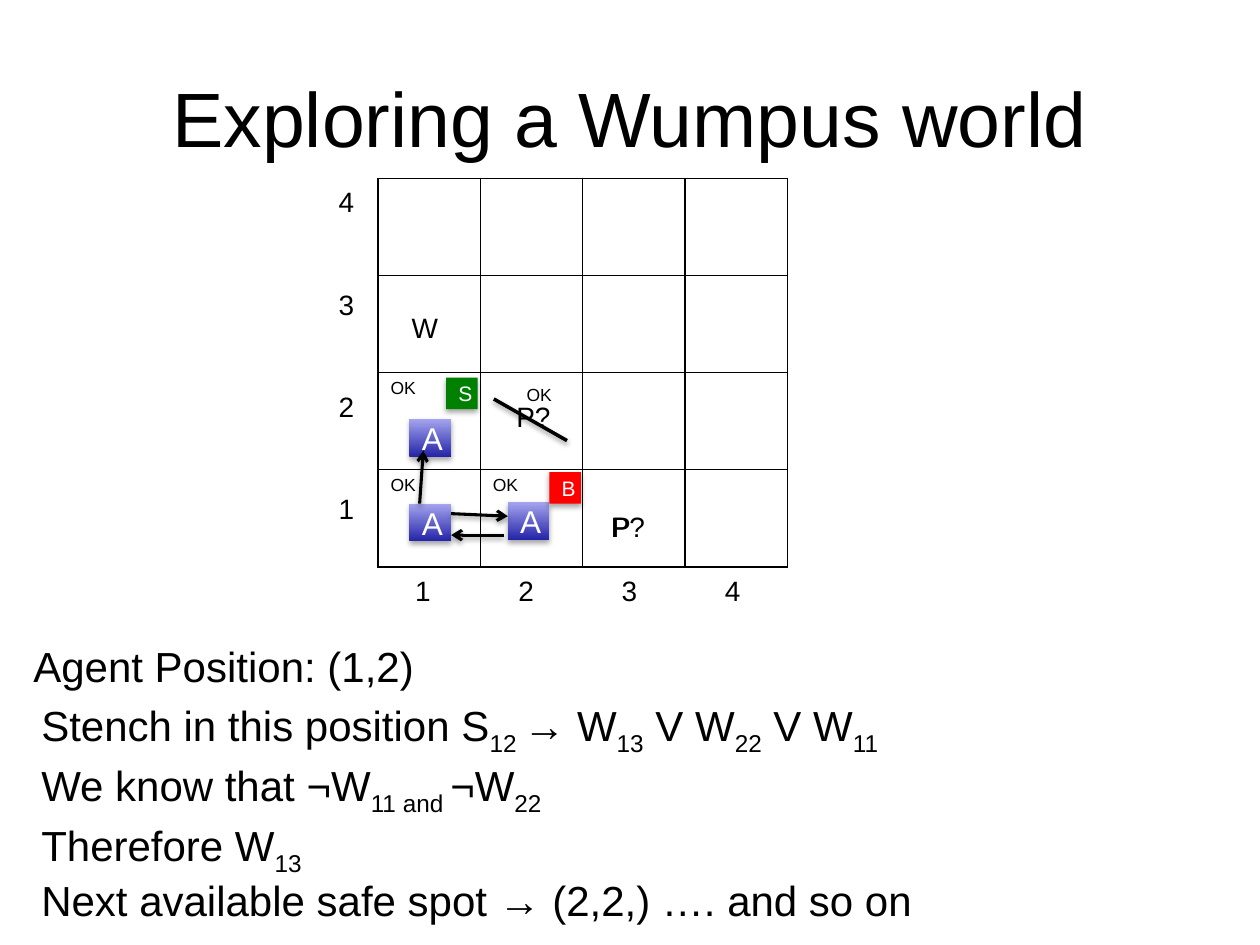
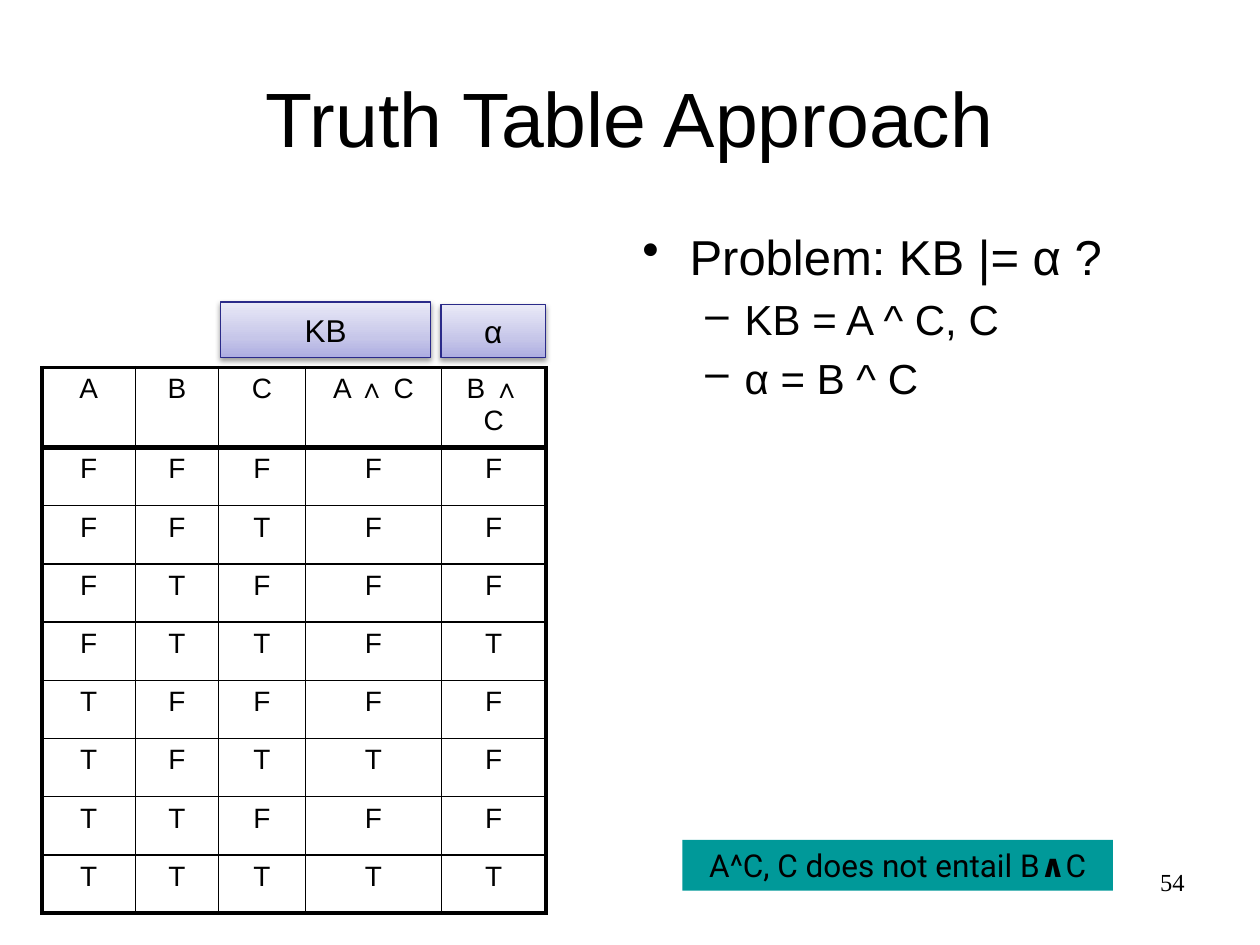
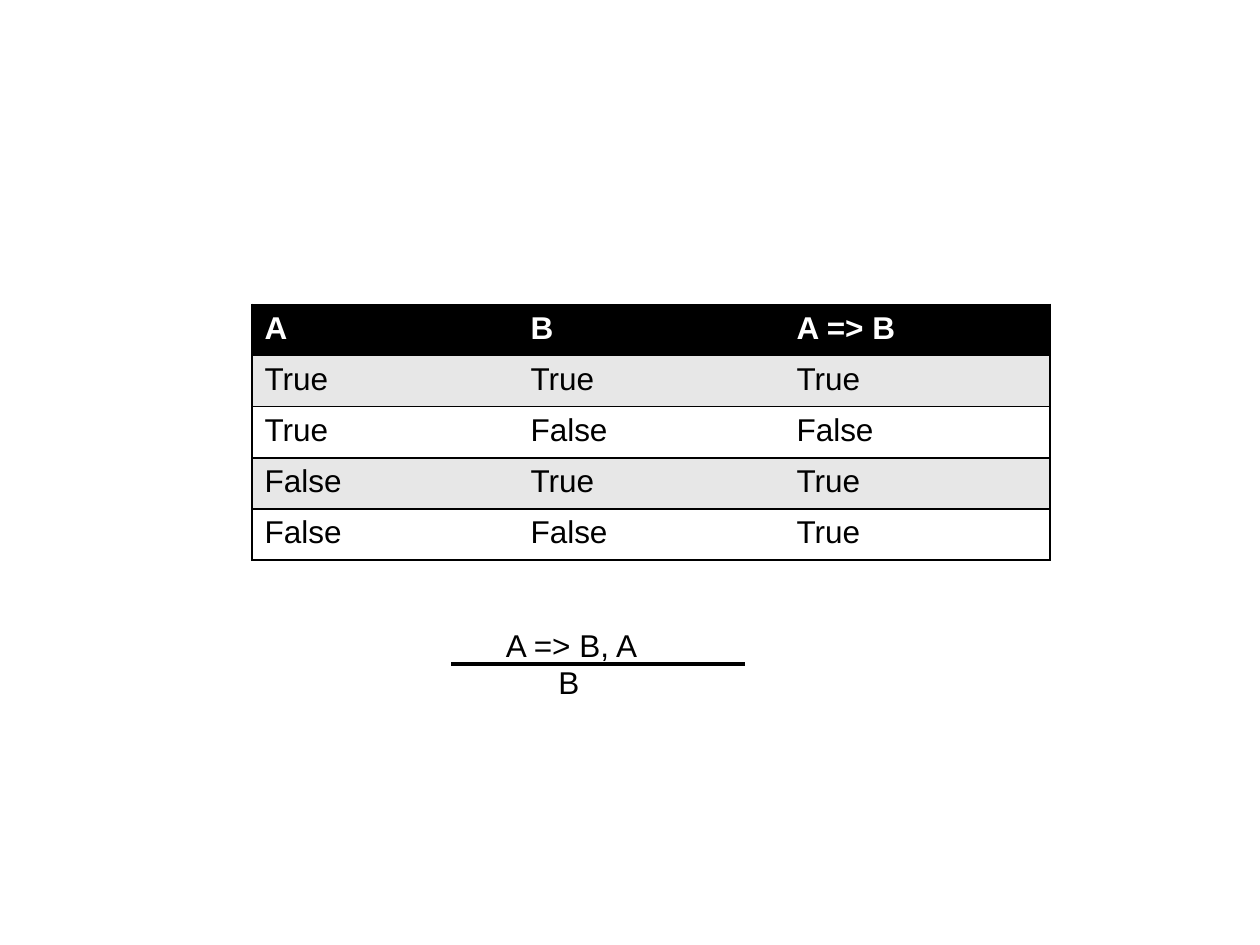
from itertools import product

from lxml.etree import SubElement
from pptx import Presentation
from pptx.dml.color import RGBColor
from pptx.enum.shapes import MSO_CONNECTOR as Connector, MSO_SHAPE as Shape
from pptx.enum.text import MSO_ANCHOR as Anchor, PP_ALIGN as Align
from pptx.oxml.ns import qn
from pptx.util import Pt

COLORS = {
    "ink": "000000",
    "paper": "FFFFFF",
    "band": "E7E7E7",
    "breeze": "FF0000",
    "stench": "008000",
    "verdict": "009999",
    "heading_line": "2A2A89",
}
AGENT_GRADIENT = [(0, "2424A8"), (100, "A4A4EF")]
HEADING_GRADIENT = [(0, "ADADE1"), (35, "C6C6E9"), (100, "E9E9F7")]
FONT = "Arial"
TITLE_BOX = (36, 21.6, 648, 90)


def rgb(name):
    return RGBColor.from_string(COLORS[name])


def points(*lengths):
    return [Pt(length) for length in lengths]


def write_paragraph(paragraph, text, size, color="ink", align=Align.LEFT,
                    font=FONT, bold=False, mark="bold"):
    """Write text; pieces between tildes are set bold or as subscripts."""
    paragraph.alignment = align
    paragraph.font.name = font
    paragraph.font.size = Pt(size)
    paragraph.font.bold = bold
    paragraph.font.color.rgb = rgb(color)
    for index, piece in enumerate(text.split("~")):
        if not piece:
            continue
        run = paragraph.add_run()
        run.text = piece
        if index % 2 and mark == "bold":
            run.font.bold = True
        elif index % 2:
            run.font._element.set("baseline", "-25000")


def indent(paragraph, left, first=0, bullet=None):
    properties = paragraph._p.get_or_add_pPr()
    properties.set("marL", str(Pt(left)))
    properties.set("indent", str(Pt(first)))
    if bullet:
        character = properties.makeelement(qn("a:buChar"), {"char": bullet})
        properties.insert_element_before(character, "a:tabLst", "a:defRPr", "a:extLst")


def add_text(slide, box, lines, size, anchor=Anchor.TOP, **style):
    """Add a wrapped text box with one paragraph a line; return its paragraphs."""
    frame = slide.shapes.add_textbox(*points(*box)).text_frame
    frame.word_wrap = True
    frame.vertical_anchor = anchor
    for index, line in enumerate(lines):
        paragraph = frame.add_paragraph() if index else frame.paragraphs[0]
        write_paragraph(paragraph, line, size, **style)
    return frame.paragraphs


def add_title(slide, text):
    add_text(slide, TITLE_BOX, [text], 44, Anchor.MIDDLE, align=Align.CENTER)


def set_shadow(shape, alpha=0, distance=1.6):
    """Give the shape a soft shadow straight below, or none when alpha is 0."""
    effects = SubElement(shape._element.spPr, qn("a:effectLst"))
    if alpha:
        shadow = SubElement(effects, qn("a:outerShdw"), blurRad=str(Pt(3.1)),
                            dist=str(Pt(distance)), dir="5400000", rotWithShape="0")
        color = SubElement(shadow, qn("a:srgbClr"), val=COLORS["ink"])
        SubElement(color, qn("a:alpha"), val=str(alpha * 1000))


def set_gradient(shape, stops):
    shape.fill.gradient()
    shape.fill.gradient_angle = 90
    stop_list = shape._element.spPr.find(".//" + qn("a:gsLst"))
    for stop in list(stop_list):
        stop_list.remove(stop)
    for position, color in stops:
        stop = SubElement(stop_list, qn("a:gs"), pos=str(position * 1000))
        SubElement(stop, qn("a:srgbClr"), val=color)


def add_block(slide, box, text, size, fill, color="ink", line=None,
              shadow=(0, 0), anchor=Anchor.MIDDLE, font=FONT):
    """Add a labelled rectangle; fill is a colour name or a list of stops."""
    block = slide.shapes.add_shape(Shape.RECTANGLE, *points(*box))
    if isinstance(fill, list):
        set_gradient(block, fill)
    else:
        block.fill.solid()
        block.fill.fore_color.rgb = rgb(fill)
    if line:
        block.line.color.rgb = rgb(line)
        block.line.width = Pt(0.75)
    else:
        block.line.fill.background()
    set_shadow(block, *shadow)
    block.text_frame.vertical_anchor = anchor
    write_paragraph(block.text_frame.paragraphs[0], text, size, color,
                    Align.CENTER, font)


def add_line(slide, start, end, width, arrow=False, shadow=0):
    connector = slide.shapes.add_connector(Connector.STRAIGHT, *points(*start, *end))
    connector.line.color.rgb = rgb("ink")
    connector.line.width = Pt(width)
    if arrow:
        SubElement(connector.line._get_or_add_ln(), qn("a:tailEnd"), type="arrow")
    set_shadow(connector, shadow)


def set_borders(cell, widths):
    """Draw left, right, top and bottom borders; a width of 0 draws none."""
    properties = cell._tc.get_or_add_tcPr()
    for side, width in zip("LRTB", widths):
        border = SubElement(properties, qn(f"a:ln{side}"), w=str(Pt(width)))
        if width:
            fill = SubElement(border, qn("a:solidFill"))
            SubElement(fill, qn("a:srgbClr"), val=COLORS["ink"])
        else:
            SubElement(border, qn("a:noFill"))


def add_grid(slide, position, widths, heights, rows, size, outer=1, vertical=1,
             header=1, align=Align.LEFT, banded=False):
    """Add a ruled table; a banded one has a black header and grey odd rows."""
    box = (*position, sum(widths), sum(heights))
    table = slide.shapes.add_table(len(heights), len(widths), *points(*box)).table
    table.first_row = table.horz_banding = False
    for column, width in zip(table.columns, widths):
        column.width = Pt(width)
    for row, height in zip(table.rows, heights):
        row.height = Pt(height)
    across = [outer] + [vertical] * (len(widths) - 1) + [outer]
    down = [outer, header] + [1] * (len(heights) - 2) + [outer]
    for r, c in product(range(len(heights)), range(len(widths))):
        cell = table.cell(r, c)
        set_borders(cell, across[c:c + 2] + down[r:r + 2])
        is_header = banded and r == 0
        if banded:
            cell.fill.solid()
            cell.fill.fore_color.rgb = rgb(
                "ink" if is_header else "band" if r % 2 else "paper")
        else:
            cell.fill.background()
        write_paragraph(cell.text_frame.paragraphs[0], rows[r][c], size,
                        "paper" if is_header else "ink", align, bold=is_header)


def add_axes(slide, left, top, height):
    """Number the columns below the world and the rows to its left."""
    columns, = add_text(slide, (left, top + height, 240, 28.8), ["\t1\t2\t3\t4"], 16)
    properties = columns._p.get_or_add_pPr()
    tabs = properties.makeelement(qn("a:tabLst"), {})
    properties.insert_element_before(tabs, "a:defRPr", "a:extLst")
    for index in range(4):
        SubElement(tabs, qn("a:tab"), pos=str(Pt(18.5 + 59 * index)), algn="ctr")
    rows = add_text(slide, (left - 36, top, 36, 201), "4321", 16, align=Align.CENTER)
    for paragraph in rows[1:]:
        paragraph.space_before = Pt(39.3)


def add_world(slide, box):
    left, top, width, height = box

    def at(x, y):
        return left + x, top + y

    known_safe = {(2, 0), (3, 0), (3, 1)}
    rows = [["OK" if (r, c) in known_safe else "" for c in range(4)] for r in range(4)]
    add_grid(slide, (left, top), [width / 4] * 4, [height / 4] * 4, rows, 10)
    add_axes(slide, left, top, height)

    for text, x, y, size in [("P?", 72, 123, 16), ("P?", 126, 185.8, 16),
                             ("P", 126.7, 185.8, 16), ("W", 12.2, 72, 16),
                             ("OK", 77.8, 113.8, 10)]:
        add_text(slide, (*at(x, y), 36, 26.6), [text], size)
    for x, y in [(74.2, 185), (18, 185.8), (18, 137.5)]:
        add_block(slide, (*at(x, y), 23.8, 21.6), "A", 18, AGENT_GRADIENT, "paper",
                  shadow=(35, 1.8))
    for text, x, y, fill in [("B", 97.9, 167.8, "breeze"), ("S", 38.9, 113.8, "stench")]:
        add_block(slide, (*at(x, y), 18, 18), text, 12, fill, "paper", shadow=(35, 1.8))
    for start, end in [((41.8, 191.5), (74.2, 193)), ((72, 203.8), (41.8, 203.8)),
                       ((23.8, 185.8), (25.9, 155.5))]:
        add_line(slide, at(*start), at(*end), 1.75, arrow=True, shadow=38)
    add_line(slide, at(66.2, 126), at(108, 149.8), 2, shadow=38)


def add_reasoning(slide, box):
    lines = [
        "Agent Position: (1,2)",
        "Stench in this position S~12 ~→ W~13~ V W~22~ V W~11",
        "We know that ¬W~11 and ~¬W~22",
        "Therefore W~13",
        "Next available safe spot → (2,2,) …. and so on",
    ]
    paragraphs = add_text(slide, box, lines, 24, mark="subscript")
    for index, paragraph in enumerate(paragraphs):
        paragraph.line_spacing = 0.9
        paragraph.space_before = Pt(4.8)
        indent(paragraph, 4.5 if index else 0)


def add_truth_table(slide, left, top):
    rows = [["A", "B", "C", "A ~∧~ C", "B ~∧~ C"]]
    for a, b, c in product([False, True], repeat=3):
        rows.append(["T" if value else "F" for value in (a, b, c, a and c, b and c)])
    add_grid(slide, (left, top), [53.3, 47.5, 49.7, 77.8, 59.8], [36] + [33.3] * 8,
             rows, 16, outer=2.25, header=3, align=Align.CENTER)
    for text, x, y, width, height in [("KB", 102, -37.4, 120.2, 31.7),
                                      ("α", 228, -36, 59.8, 30.2)]:
        add_block(slide, (left + x, top + y, width, height), text, 18,
                  HEADING_GRADIENT, line="heading_line", shadow=(38, 1.6))


def add_problem(slide, box):
    lines = ["Problem: KB |= α ?", "KB = A ^ C, C", "α = B ^ C"]
    question, *definitions = add_text(slide, box, lines, 24)
    question.font.size = Pt(28)
    indent(question, 27, -27, "•")
    for paragraph in definitions:
        paragraph.level = 1
        paragraph.space_before = Pt(4.8)
        indent(paragraph, 58.5, -22.5, "–")


def add_inference_rule(slide, box):
    left, top, _, height = box
    premises, conclusion = add_text(slide, box, ["A => B, A", "B"], 18)
    indent(premises, 36)
    indent(conclusion, 66)
    middle = top + height / 2
    add_line(slide, (left + 12, middle), (left + 180, middle), 2)


def build_wumpus_slide(slide):
    add_title(slide, "Exploring a Wumpus world")
    add_world(slide, (216, 102, 234, 222))
    add_reasoning(slide, (12, 366, 696, 150))


def build_truth_table_slide(slide):
    add_title(slide, "Truth Table Approach")
    add_problem(slide, (360, 126, 324, 356.4))
    add_text(slide, (516, 492, 168, 37.4), ["54"], 14, align=Align.RIGHT,
             font="Times New Roman")
    add_truth_table(slide, 24, 210)
    add_block(slide, (390, 480, 246, 29), "A^C, C does not entail B~∧~C", 18,
              "verdict", anchor=Anchor.TOP, font="Roboto")


def build_implication_slide(slide):
    rows = [["A", "B", "A => B"]]
    for a, b in product([True, False], repeat=2):
        rows.append([str(value) for value in (a, b, not a or b)])
    add_grid(slide, (144, 174), [152] * 3, [29.2] * 5, rows, 18, vertical=0, banded=True)
    add_inference_rule(slide, (246, 354, 360, 51))


def main():
    presentation = Presentation()
    presentation.slide_width, presentation.slide_height = points(720, 540)
    blank = presentation.slide_layouts[6]
    for build in (build_wumpus_slide, build_truth_table_slide, build_implication_slide):
        build(presentation.slides.add_slide(blank))
    presentation.save("out.pptx")


if __name__ == "__main__":
    main()
